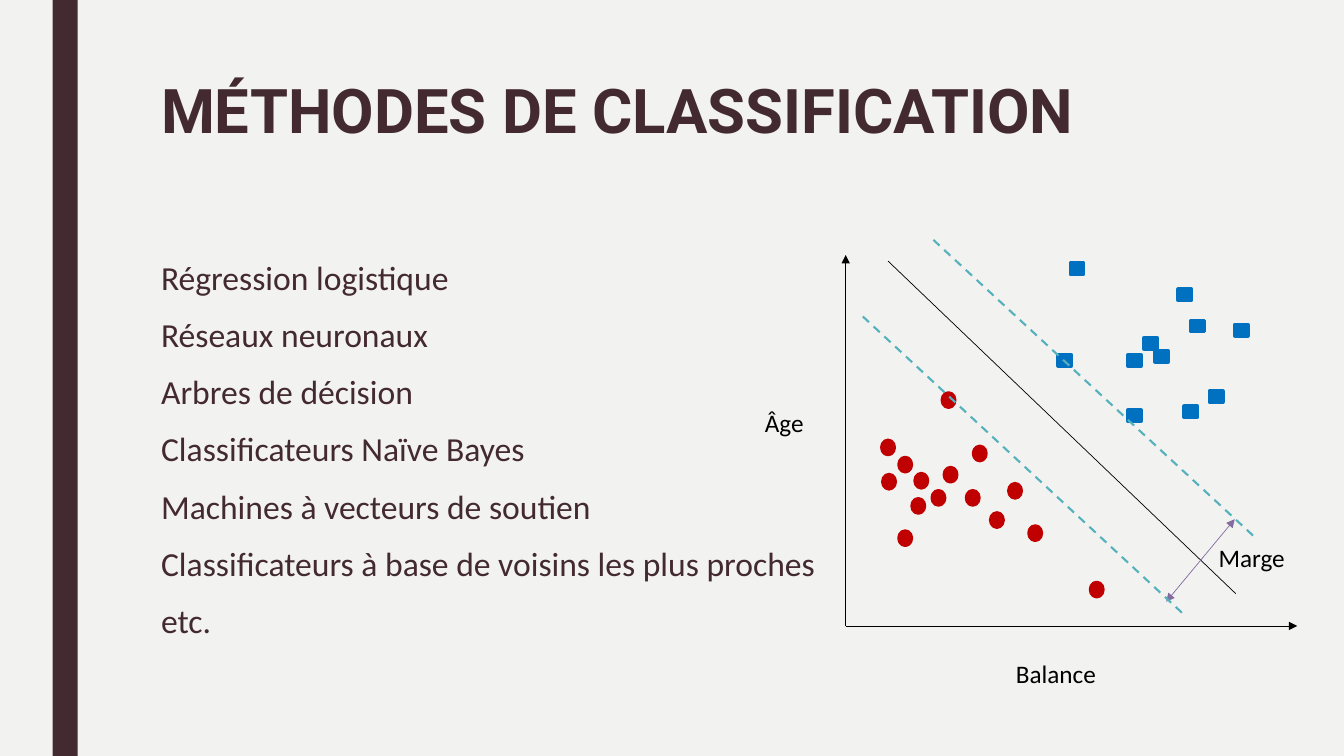
from dataclasses import dataclass
from typing import Optional

from lxml.etree import SubElement
from pptx import Presentation
from pptx.dml.color import RGBColor
from pptx.enum.dml import MSO_LINE
from pptx.enum.shapes import MSO_CONNECTOR, MSO_SHAPE
from pptx.enum.text import MSO_ANCHOR, MSO_AUTO_SIZE, PP_ALIGN
from pptx.oxml.ns import qn
from pptx.util import Inches, Pt

COLUMNS, ROWS = 80, 45
PLUM, BLACK, TEAL, PURPLE = "432A30", "000000", "55B1BC", "836C9F"


@dataclass
class Box:
    col: float
    row: float
    width: float
    height: float


@dataclass
class Line:
    start: tuple[float, float]
    end: tuple[float, float]
    color: str = BLACK
    weight: float = 0.5
    dashed: bool = False
    arrows: tuple[str, ...] = ()


@dataclass
class PointClass:
    shape: MSO_SHAPE
    color: str
    width: float
    height: float
    points: list[tuple[float, float]]


@dataclass
class Label:
    text: str
    box: Box


METHODS = [
    "Régression logistique",
    "Réseaux neuronaux",
    "Arbres de décision",
    "Classificateurs Naïve Bayes",
    "Machines à vecteurs de soutien",
    "Classificateurs à base de voisins les plus proches",
    "etc.",
]

LABELS = [
    Label("Âge", Box(44.94, 23.94, 6.54, 2.4)),
    Label("Balance", Box(59.88, 38.88, 9.54, 2.4)),
    Label("Marge", Box(71.94, 31.98, 6.54, 2.4)),
]

ORIGIN = (50.34, 37.26)
AXES_AND_SEPARATOR = [
    Line(ORIGIN, (50.34, 15.18), arrows=("tailEnd",)),
    Line(ORIGIN, (77.22, 37.26), arrows=("tailEnd",)),
    Line((52.86, 15.54), (73.56, 35.34)),
]
MARGIN_LINES = [
    Line((69.42, 35.82), (73.5, 30.9), PURPLE, arrows=("headEnd", "tailEnd")),
    Line((51.36, 18.84), (70.56, 36.66), TEAL, 1.5, dashed=True),
    Line((55.56, 14.28), (74.76, 32.04), TEAL, 1.5, dashed=True),
]

POINT_CLASSES = [
    PointClass(MSO_SHAPE.OVAL, "C00000", 0.72, 0.83, [
        (52.5, 26.22), (53.52, 27.24), (52.56, 28.26), (53.52, 31.62),
        (56.22, 27.84), (57.54, 29.22), (57.96, 26.58), (61.26, 31.32),
        (58.98, 30.54), (56.1, 23.4), (60.06, 28.8), (64.92, 34.68),
        (54.48, 28.2), (55.5, 29.22), (54.3, 29.7),
    ]),
    PointClass(MSO_SHAPE.RECTANGLE, "0070C0", 0.78, 0.66, [
        (63, 21.12), (67.14, 24.42), (67.14, 21.12), (68.1, 20.1),
        (70.5, 24.18), (68.76, 20.88), (72, 23.28), (70.92, 19.08),
        (63.72, 15.66), (73.5, 19.32), (70.14, 17.22),
    ]),
]

prs = Presentation()
prs.slide_width, prs.slide_height = Inches(13.3333), Inches(7.5)
slide = prs.slides.add_slide(prs.slide_layouts[6])


def rgb(color: str) -> RGBColor:
    return RGBColor.from_string(color)


def x(col: float) -> int:
    return round(prs.slide_width * col / COLUMNS)


def y(row: float) -> int:
    return round(prs.slide_height * row / ROWS)


def place(box: Box) -> tuple[int, int, int, int]:
    return x(box.col), y(box.row), x(box.width), y(box.height)


def add_text(text: str, box: Box, *, size: float, color: str = BLACK,
             font: str = "Calibri", bold: bool = False,
             align: PP_ALIGN = PP_ALIGN.LEFT, spacing: Optional[float] = None,
             before: float = 0, after: float = 0,
             fit: MSO_AUTO_SIZE = MSO_AUTO_SIZE.NONE) -> None:
    tf = slide.shapes.add_textbox(*place(box)).text_frame
    tf.word_wrap = True
    tf.auto_size = fit
    tf.vertical_anchor = MSO_ANCHOR.TOP
    tf.text = text
    for p in tf.paragraphs:
        p.alignment = align
        p.line_spacing = spacing
        p.space_before, p.space_after = Pt(before), Pt(after)
        for r in p.runs:
            r.font.name, r.font.size, r.font.bold = font, Pt(size), bold
            r.font.color.rgb = rgb(color)


def add_shape(shape: MSO_SHAPE, box: Box, color: str, weight: float = 0) -> None:
    sp = slide.shapes.add_shape(shape, *place(box))
    sp.shadow.inherit = False
    sp.fill.solid()
    sp.fill.fore_color.rgb = rgb(color)
    if weight:
        sp.line.color.rgb = rgb(color)
        sp.line.width = Pt(weight)
    else:
        sp.line.fill.background()


def add_line(line: Line) -> None:
    (x1, y1), (x2, y2) = line.start, line.end
    cxn = slide.shapes.add_connector(MSO_CONNECTOR.STRAIGHT, x(x1), y(y1), x(x2), y(y2))
    cxn.line.color.rgb = rgb(line.color)
    cxn.line.width = Pt(line.weight)
    if line.dashed:
        cxn.line.dash_style = MSO_LINE.DASH
    ln = cxn.line._get_or_add_ln()
    for arrow in line.arrows:
        SubElement(ln, qn(f"a:{arrow}"), type="triangle")
    SubElement(cxn._element.spPr, qn("a:effectLst"))


def main() -> None:
    slide.background.fill.solid()
    slide.background.fill.fore_color.rgb = rgb("F2F2F0")
    add_shape(MSO_SHAPE.RECTANGLE, Box(3.13, 0, 1.5, ROWS), PLUM)
    add_text("MÉTHODES DE CLASSIFICATION", Box(9, 4.5, 63, 9.72), size=44,
             color=PLUM, font="Roboto", bold=True, spacing=0.89)
    add_text("\n".join(METHODS), Box(9, 15, 63, 23.5), size=24, color=PLUM,
             align=PP_ALIGN.JUSTIFY, before=10, after=2,
             fit=MSO_AUTO_SIZE.TEXT_TO_FIT_SHAPE)
    for label in LABELS:
        add_text(label.text, label.box, size=18, fit=MSO_AUTO_SIZE.SHAPE_TO_FIT_TEXT)
    for line in AXES_AND_SEPARATOR:
        add_line(line)
    for group in POINT_CLASSES:
        for col, row in group.points:
            add_shape(group.shape, Box(col, row, group.width, group.height),
                      group.color, 2.75)
    for line in MARGIN_LINES:
        add_line(line)
    prs.save("out.pptx")


if __name__ == "__main__":
    main()
